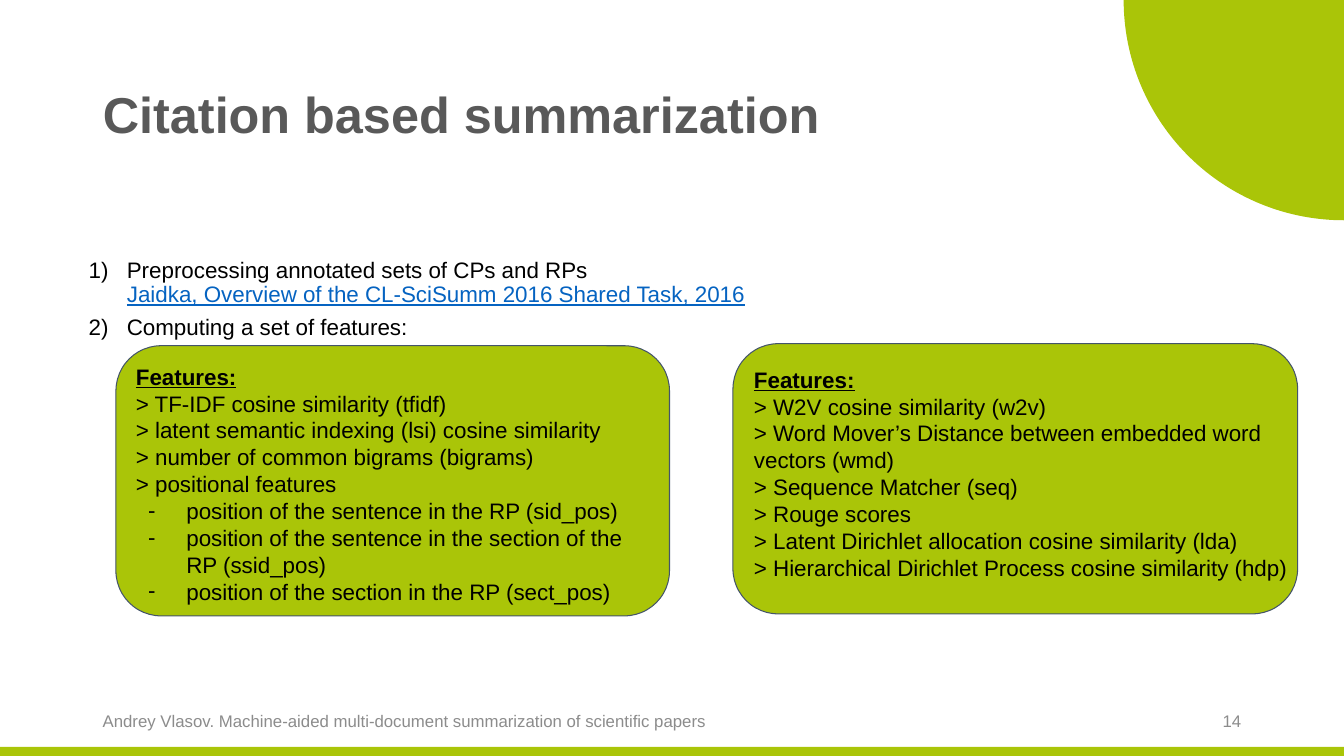
import pptx
import pptx.util
import pptx.dml.color
import pptx.enum.shapes
import pptx.enum.text
import lxml.etree
from dataclasses import dataclass

TITLE = "Citation based summarization"
FOOTER = "Andrey Vlasov. Machine-aided multi-document summarization of scientific papers"
NUMBER = "14"
STEPS = [
    ("Preprocessing annotated sets of CPs and RPs",
     "Jaidka, Overview of the CL-SciSumm 2016 Shared Task, 2016"),
    ("Computing a set of features:", ""),
]
HEAD = "Features:"
CARDS = [
    {
        "card": (1.15, 3.43, 5.49, 2.68),
        "text": (1.25, 3.5, 5.3, 2.36),
        "lines": [
            "> TF-IDF cosine similarity (tfidf)",
            "> latent semantic indexing (lsi) cosine similarity",
            "> number of common bigrams (bigrams)",
            "> positional features",
        ],
        "points": [
            "position of the sentence in the RP (sid_pos)",
            "position of the sentence in the section of the RP (ssid_pos)",
            "position of the section in the RP (sect_pos)",
        ],
    },
    {
        "card": (7.27, 3.41, 5.6, 2.68),
        "text": (7.38, 3.53, 5.5, 2.47),
        "lines": [
            "> W2V cosine similarity (w2v)",
            "> Word Mover’s Distance between embedded word vectors (wmd)",
            "> Sequence Matcher (seq)",
            "> Rouge scores",
            "> Latent Dirichlet allocation cosine similarity (lda)",
            "> Hierarchical Dirichlet Process cosine similarity (hdp)",
        ],
        "points": [],
    },
]


@dataclass
class Theme:
    face: str = "Arial"
    green: str = "AAC508"
    edge: str = "44546A"
    title: str = "595959"
    ink: str = "000000"
    link: str = "0563C1"
    mute: str = "8C8C8C"
    big: int = 36
    body: int = 16
    small: int = 12


look = Theme()
SHAPE = pptx.enum.shapes.MSO_SHAPE
ALIGN = pptx.enum.text.PP_ALIGN
ANCHOR = pptx.enum.text.MSO_ANCHOR
WIDE, HIGH = 13.33, 7.5
MARGIN = 0.92
BAR = 0.09
DISC = 4.37


def place(box):
    return [pptx.util.Inches(part) for part in box]


def color(code):
    return pptx.dml.color.RGBColor.from_string(code)


def style(para, size, ink, bold=False, under=False):
    font = para.font
    font.name = look.face
    font.size = pptx.util.Pt(size)
    font.color.rgb = color(ink)
    font.bold = bold
    font.underline = under


def bullet(para, mark, left, hang):
    props = para._p.get_or_add_pPr()
    props.set("marL", str(pptx.util.Inches(left)))
    props.set("indent", str(pptx.util.Inches(-hang)))
    space = props.nsmap["a"]
    for tag, name, value in mark:
        item = lxml.etree.SubElement(props, f"{{{space}}}{tag}")
        item.set(name, value)


def draw(slide, kind, box, edge=None):
    shape = slide.shapes.add_shape(kind, *place(box))
    shape.shadow.inherit = False
    shape.fill.solid()
    shape.fill.fore_color.rgb = color(look.green)
    if edge:
        shape.line.color.rgb = color(edge)
        shape.line.width = pptx.util.Pt(0.75)
    else:
        shape.line.fill.background()
    return shape


def write(slide, box):
    frame = slide.shapes.add_textbox(*place(box)).text_frame
    frame.word_wrap = True
    return frame


def next_para(frame, first):
    return frame.paragraphs[0] if first else frame.add_paragraph()


def add_frame(slide):
    draw(slide, SHAPE.RECTANGLE, (0, HIGH - BAR, WIDE, BAR))
    disc = draw(slide, SHAPE.PIE, (WIDE - DISC / 2, -DISC / 2, DISC, DISC))
    disc.adjustments[0] = 54
    disc.adjustments[1] = 108
    title = slide.shapes.title
    title.left, title.top, title.width, title.height = place((MARGIN, 0.4, 10.22, 1.45))
    title.text_frame.text = TITLE
    title.text_frame.vertical_anchor = ANCHOR.MIDDLE
    para = title.text_frame.paragraphs[0]
    para.alignment = ALIGN.LEFT
    style(para, look.big, look.title, bold=True)
    feet = [(FOOTER, MARGIN, 8, ALIGN.LEFT), (NUMBER, WIDE - MARGIN - 3, 3, ALIGN.RIGHT)]
    for text, left, width, side in feet:
        frame = write(slide, (left, 6.95, width, 0.4))
        frame.vertical_anchor = ANCHOR.MIDDLE
        para = frame.paragraphs[0]
        para.text = text
        para.alignment = side
        style(para, look.small, look.mute)


def add_steps(slide):
    frame = write(slide, (0.7, 2.52, 7.82, 0.9))
    mark = [("buFont", "typeface", look.face), ("buAutoNum", "type", "arabicParenR")]
    for rank, (text, cite) in enumerate(STEPS):
        para = next_para(frame, rank == 0)
        para.line_spacing = 0.9
        if rank:
            para.space_before = pptx.util.Pt(6)
        bullet(para, mark, 0.46, 0.38)
        style(para, look.body, look.ink)
        para.add_run().text = text
        if cite:
            para.add_line_break()
            run = para.add_run()
            run.text = cite
            run.font.color.rgb = color(look.link)
            run.font.underline = True


def add_card(slide, card):
    shape = draw(slide, SHAPE.ROUNDED_RECTANGLE, card["card"], look.edge)
    shape.adjustments[0] = 0.167
    frame = write(slide, card["text"])
    inset = pptx.util.Inches(0.1)
    frame.margin_left = frame.margin_right = inset
    frame.margin_top = frame.margin_bottom = inset
    mark = [("buFont", "typeface", look.face), ("buChar", "char", "-")]
    lines = [HEAD] + card["lines"]
    for rank, text in enumerate(lines + card["points"]):
        para = next_para(frame, rank == 0)
        para.text = text
        if rank >= len(lines):
            bullet(para, mark, 0.5, 0.38)
        style(para, look.body, look.ink, rank == 0, rank == 0)


def main():
    deck = pptx.Presentation()
    deck.slide_width, deck.slide_height = place((WIDE, HIGH))
    slide = deck.slides.add_slide(deck.slide_layouts[5])
    add_frame(slide)
    add_steps(slide)
    for card in CARDS:
        add_card(slide, card)
    deck.save("out.pptx")


if __name__ == "__main__":
    main()
